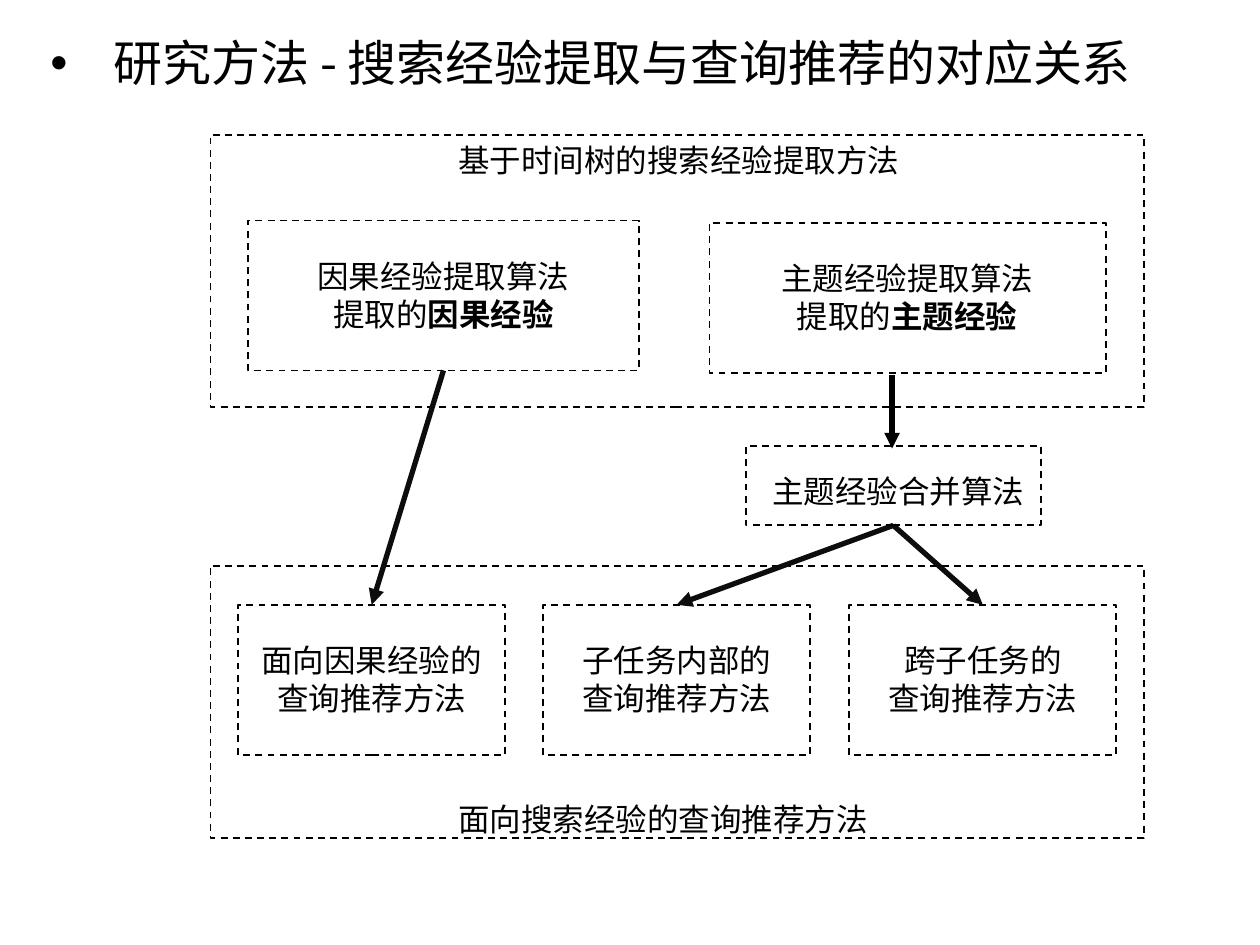
"""Build the slide relating search experience extraction to query recommendation."""
import dataclasses
import typing

import lxml.etree
import pptx
import pptx.dml.color
import pptx.enum.dml
import pptx.enum.shapes
import pptx.enum.text
import pptx.oxml.ns
import pptx.util

SCALE = 9144
FONT = "Noto Sans CJK SC"
BLACK = pptx.dml.color.RGBColor(0, 0, 0)
WHITE = pptx.dml.color.RGBColor(255, 255, 255)
DARK = pptx.dml.color.RGBColor(13, 13, 13)
ALIGN = pptx.enum.text.PP_ALIGN


@dataclasses.dataclass(frozen=True)
class Area:
    left: int
    top: int
    width: int
    height: int

    def emu(self) -> list[int]:
        return [n * SCALE for n in dataclasses.astuple(self)]


@dataclasses.dataclass(frozen=True)
class Run:
    text: str
    bold: bool = False


@dataclasses.dataclass(frozen=True)
class Label:
    area: Area
    lines: tuple[tuple[Run, ...], ...]
    align: typing.Any = ALIGN.CENTER


@dataclasses.dataclass(frozen=True)
class Arrow:
    start: tuple[int, int]
    end: tuple[int, int]
    color: pptx.dml.color.RGBColor = DARK


def add_node(parent: typing.Any, tag: str, **attrs: str) -> typing.Any:
    return lxml.etree.SubElement(parent, pptx.oxml.ns.qn(tag), attrs)


def add_run(para: typing.Any, part: Run, size: int) -> None:
    run = para.add_run()
    run.text = part.text
    font = run.font
    font.size = pptx.util.Pt(size)
    font.bold = part.bold
    font.color.rgb = BLACK
    font.name = FONT
    add_node(font._element, "a:ea", typeface=FONT)


def draw_title(slide: typing.Any, area: Area, text: str) -> None:
    title = slide.shapes.title
    title.left, title.top, title.width, title.height = area.emu()
    frame = title.text_frame
    frame.word_wrap = True
    frame.auto_size = pptx.enum.text.MSO_AUTO_SIZE.NONE
    frame.vertical_anchor = pptx.enum.text.MSO_ANCHOR.TOP
    para = frame.paragraphs[0]
    para.alignment = ALIGN.LEFT
    props = para._p.get_or_add_pPr()
    props.set("marL", str(50 * SCALE))
    props.set("indent", str(-50 * SCALE))
    add_node(props, "a:buFont", typeface="Arial")
    add_node(props, "a:buChar", char="•")
    add_run(para, Run(text), 28)


def draw_box(shapes: typing.Any, area: Area, filled: bool = True) -> None:
    box = shapes.add_shape(pptx.enum.shapes.MSO_SHAPE.RECTANGLE, *area.emu())
    box.shadow.inherit = False
    if filled:
        box.fill.solid()
        box.fill.fore_color.rgb = WHITE
    else:
        box.fill.background()
    box.line.color.rgb = BLACK
    box.line.width = pptx.util.Pt(1)
    box.line.dash_style = pptx.enum.dml.MSO_LINE.DASH


def draw_label(shapes: typing.Any, label: Label) -> None:
    frame = shapes.add_textbox(*label.area.emu()).text_frame
    frame.word_wrap = True
    for i, line in enumerate(label.lines):
        para = frame.add_paragraph() if i else frame.paragraphs[0]
        para.alignment = label.align
        for part in line:
            add_run(para, part, 18)


def draw_arrow(shapes: typing.Any, arrow: Arrow) -> None:
    ends = [n * SCALE for n in arrow.start + arrow.end]
    link = shapes.add_connector(pptx.enum.shapes.MSO_CONNECTOR.STRAIGHT, *ends)
    link.line.color.rgb = arrow.color
    link.line.width = pptx.util.Pt(3)
    add_node(link.line._get_or_add_ln(), "a:tailEnd", type="triangle")
    add_node(link._element.spPr, "a:effectLst")


def heading(area: Area, text: str) -> Label:
    return Label(area, ((Run(text),),), ALIGN.LEFT)


def source(area: Area, kind: str) -> Label:
    name = f"{kind}经验"
    return Label(area, ((Run(f"{name}提取算法"),), (Run("提取的"), Run(name, True))))


def main() -> None:
    deck = pptx.Presentation()
    deck.slide_width, deck.slide_height = 1000 * SCALE, 750 * SCALE
    slide = deck.slides.add_slide(deck.slide_layouts[5])
    draw_title(slide, Area(30, 21, 926, 57), "研究方法 - 搜索经验提取与查询推荐的对应关系")

    upper = slide.shapes.add_group_shape().shapes
    for area in (Area(167, 107, 741, 216), Area(197, 175, 310, 119), Area(563, 177, 315, 119)):
        draw_box(upper, area)
    draw_label(upper, source(Area(204, 199, 296, 71), "因果"))
    draw_label(upper, heading(Area(354, 107, 388, 40), "基于时间树的搜索经验提取方法"))
    draw_label(upper, source(Area(572, 201, 296, 71), "主题"))

    lower = slide.shapes.add_group_shape().shapes
    draw_box(lower, Area(167, 449, 741, 216))
    draw_label(lower, heading(Area(354, 630, 388, 40), "面向搜索经验的查询推荐方法"))
    for left, scope in ((189, "面向因果经验的"), (431, "子任务内部的"), (674, "跨子任务的")):
        draw_box(lower, Area(left, 480, 212, 119))
        lines = ((Run(scope),), (Run("查询推荐方法"),))
        draw_label(lower, Label(Area(left, 504, 212, 71), lines))

    fork = (709, 417)
    for arrow in (
        Arrow((352, 294), (295, 480)),
        Arrow(fork, (537, 480)),
        Arrow(fork, (780, 480)),
    ):
        draw_arrow(slide.shapes, arrow)
    draw_label(slide.shapes, heading(Area(603, 370, 223, 40), "主题经验合并算法"))
    draw_box(slide.shapes, Area(592, 354, 234, 63), filled=False)
    draw_arrow(slide.shapes, Arrow((708, 298), (708, 356), BLACK))
    deck.save("out.pptx")


if __name__ == "__main__":
    main()
